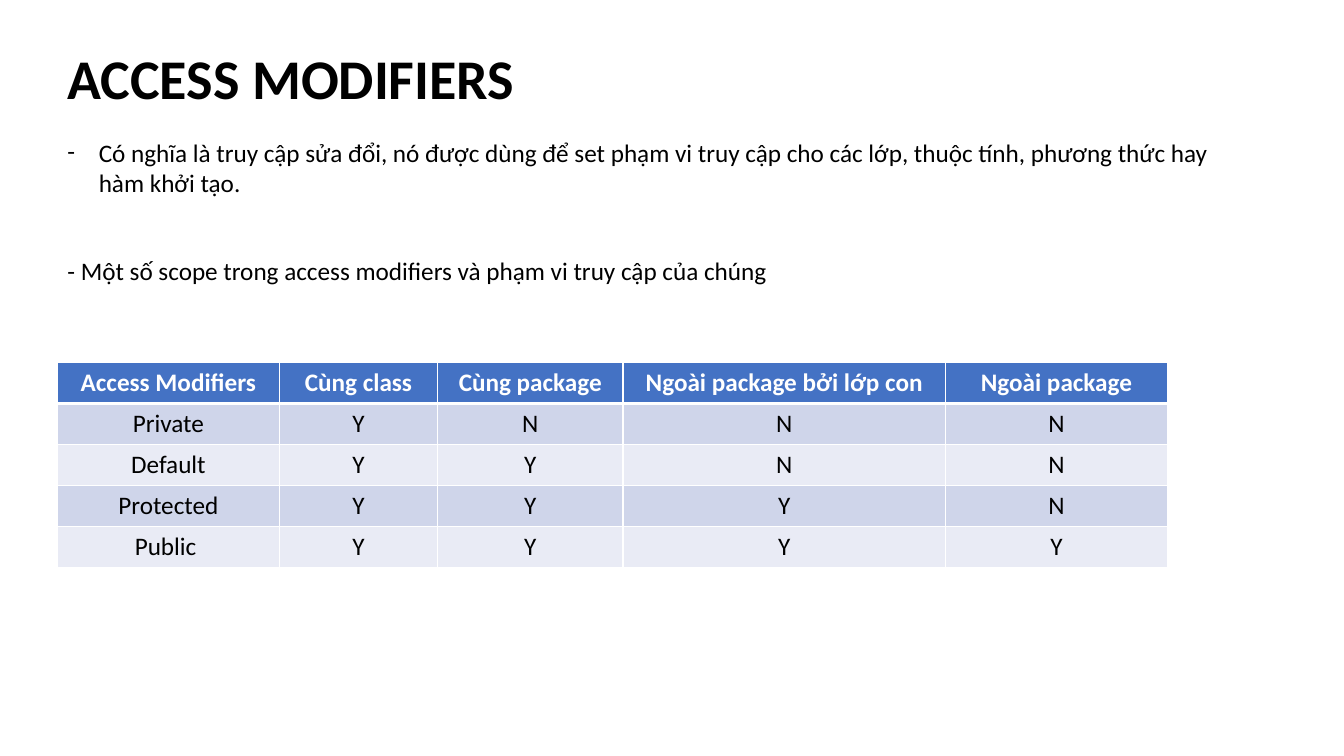
from dataclasses import dataclass

from lxml.etree import SubElement
from pptx import Presentation
from pptx.dml.color import RGBColor
from pptx.enum.text import MSO_AUTO_SIZE, PP_ALIGN
from pptx.oxml.ns import qn
from pptx.util import Cm, Pt


@dataclass(frozen=True)
class Theme:
    font: str = "Calibri"
    title_size: int = 40
    body_size: int = 18
    ink: str = "000000"
    paper: str = "FFFFFF"
    header: str = "4472C4"
    bands: tuple = ("CFD5EA", "E9EBF5")
    thin: float = 1
    thick: float = 3


THEME = Theme()
LEFT = 1.45
BODY_WIDTH = 29.9
COLUMN_WIDTHS = (5.59, 3.99, 4.67, 8.13, 5.59)
ROW_HEIGHT = 1.03
ACCESS_ROWS = (
    ("Access Modifiers", "Cùng class", "Cùng package",
     "Ngoài package bởi lớp con", "Ngoài package"),
    ("Private", "Y", "N", "N", "N"),
    ("Default", "Y", "Y", "N", "N"),
    ("Protected", "Y", "Y", "Y", "N"),
    ("Public ", "Y", "Y", "Y", "Y"),
)


def write(para, text, size=THEME.body_size, color=THEME.ink, bold=False,
          align=PP_ALIGN.LEFT):
    para.alignment = align
    span = para.add_run()
    span.text = text
    span.font.name = THEME.font
    span.font.size = Pt(size)
    span.font.bold = bold
    span.font.color.rgb = RGBColor.from_string(color)


def add_text(page, text, left, top, width, height, **text_format):
    """Add a wrapped one-paragraph text box and return its paragraph."""
    box = page.shapes.add_textbox(Cm(left), Cm(top), Cm(width), Cm(height))
    frame = box.text_frame
    frame.word_wrap = True
    frame.auto_size = MSO_AUTO_SIZE.SHAPE_TO_FIT_TEXT
    para = frame.paragraphs[0]
    write(para, text, **text_format)
    return para


def add_dash_bullet(para, indent):
    properties = para._p.get_or_add_pPr()
    properties.set("marL", str(Cm(indent)))
    properties.set("indent", str(-Cm(indent)))
    SubElement(properties, qn("a:buFont"), typeface=THEME.font)
    SubElement(properties, qn("a:buChar"), char="-")


def set_borders(cell, **widths):
    """Draw the sides L, R, T and B, given in that order, in points."""
    properties = cell._tc.get_or_add_tcPr()
    for side, width in widths.items():
        line = SubElement(properties, qn(f"a:ln{side}"), w=str(Pt(width)))
        fill = SubElement(line, qn("a:solidFill"))
        SubElement(fill, qn("a:srgbClr"), val=THEME.paper)


def add_access_table(page, left, top):
    frame = page.shapes.add_table(
        len(ACCESS_ROWS), len(COLUMN_WIDTHS), Cm(left), Cm(top),
        Cm(sum(COLUMN_WIDTHS)), Cm(ROW_HEIGHT * len(ACCESS_ROWS)))
    table = frame.table
    for column, width in zip(table.columns, COLUMN_WIDTHS):
        column.width = Cm(width)
    for row_number, (row, texts) in enumerate(zip(table.rows, ACCESS_ROWS)):
        row.height = Cm(ROW_HEIGHT)
        is_header = row_number == 0
        fill = THEME.header if is_header else THEME.bands[(row_number - 1) % 2]
        for cell, text in zip(row.cells, texts):
            set_borders(cell, L=THEME.thin, R=THEME.thin,
                        T=THEME.thick if row_number == 1 else THEME.thin,
                        B=THEME.thick if is_header else THEME.thin)
            cell.fill.solid()
            cell.fill.fore_color.rgb = RGBColor.from_string(fill)
            write(cell.text_frame.paragraphs[0], text, bold=is_header,
                  color=THEME.paper if is_header else THEME.ink,
                  align=PP_ALIGN.CENTER)


def add_introduction(page, left, top, width):
    definition = add_text(
        page, "Có nghĩa là truy cập sửa đổi, nó được dùng để set phạm vi truy cập "
        "cho các lớp, thuộc tính, phương thức hay hàm khởi tạo.",
        left, top, width, 1.8)
    add_dash_bullet(definition, 0.79)
    add_text(page, "- Một số scope trong access modifiers và phạm vi truy cập của chúng",
             left, top + 2.97, width, 1.03)


def main():
    deck = Presentation()
    deck.slide_width, deck.slide_height = Cm(33.87), Cm(19.05)
    page = deck.slides.add_slide(deck.slide_layouts[6])
    add_text(page, "ACCESS MODIFIERS", LEFT, 0.97, 20.98, 1.96,
             size=THEME.title_size, bold=True)
    add_introduction(page, LEFT, 3.33, BODY_WIDTH)
    add_access_table(page, LEFT, 9.14)
    deck.save("out.pptx")


if __name__ == "__main__":
    main()
